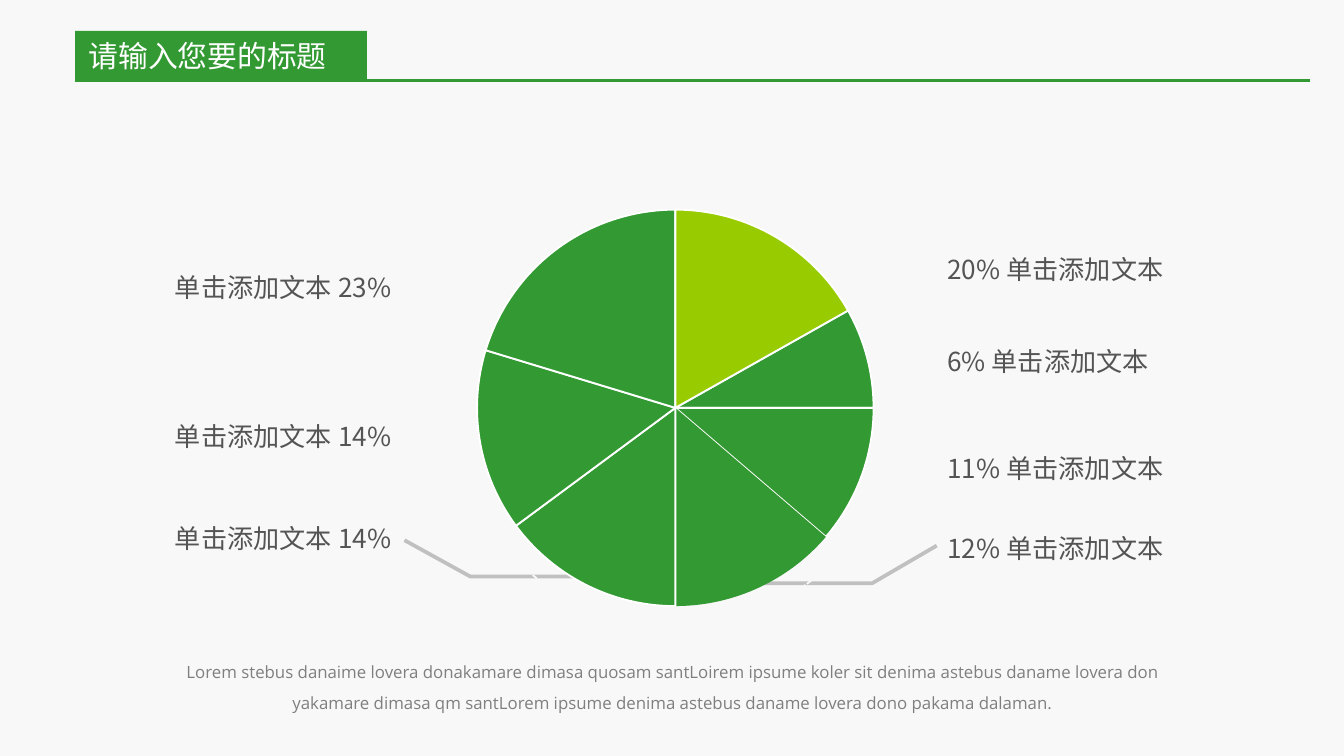
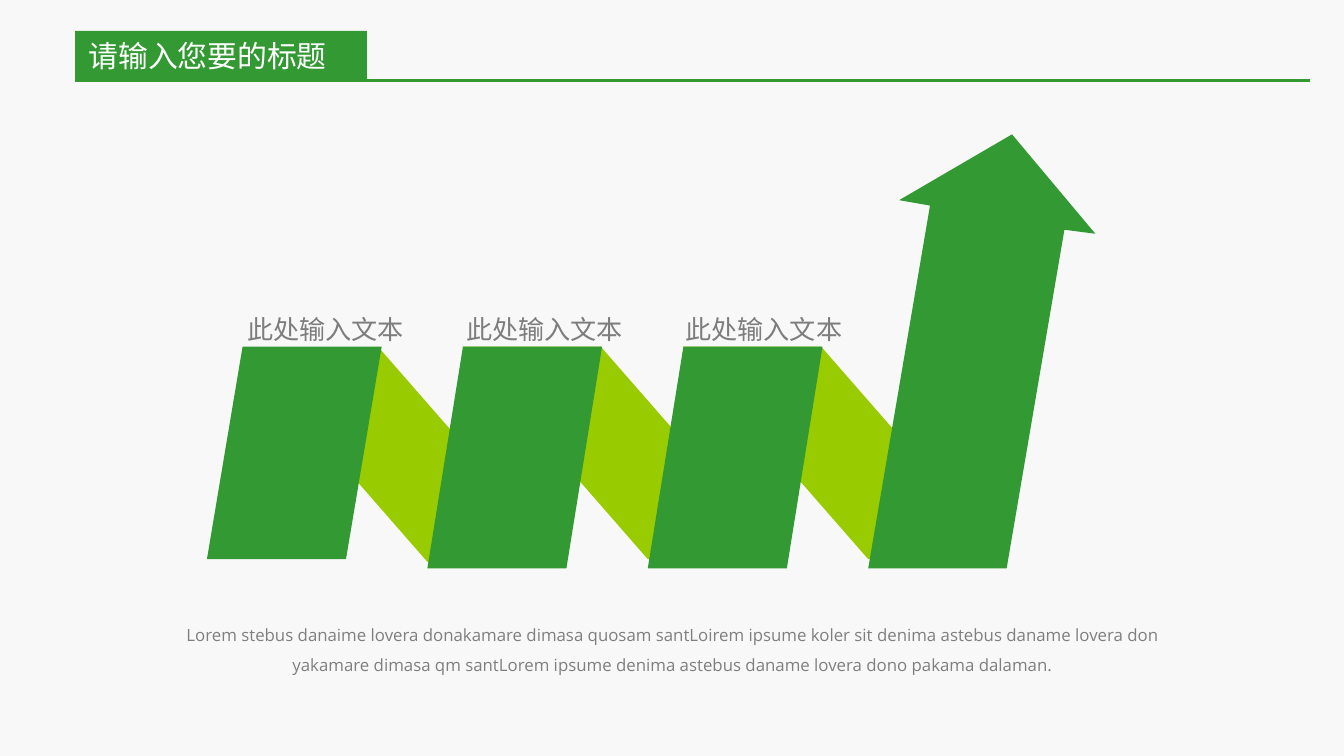
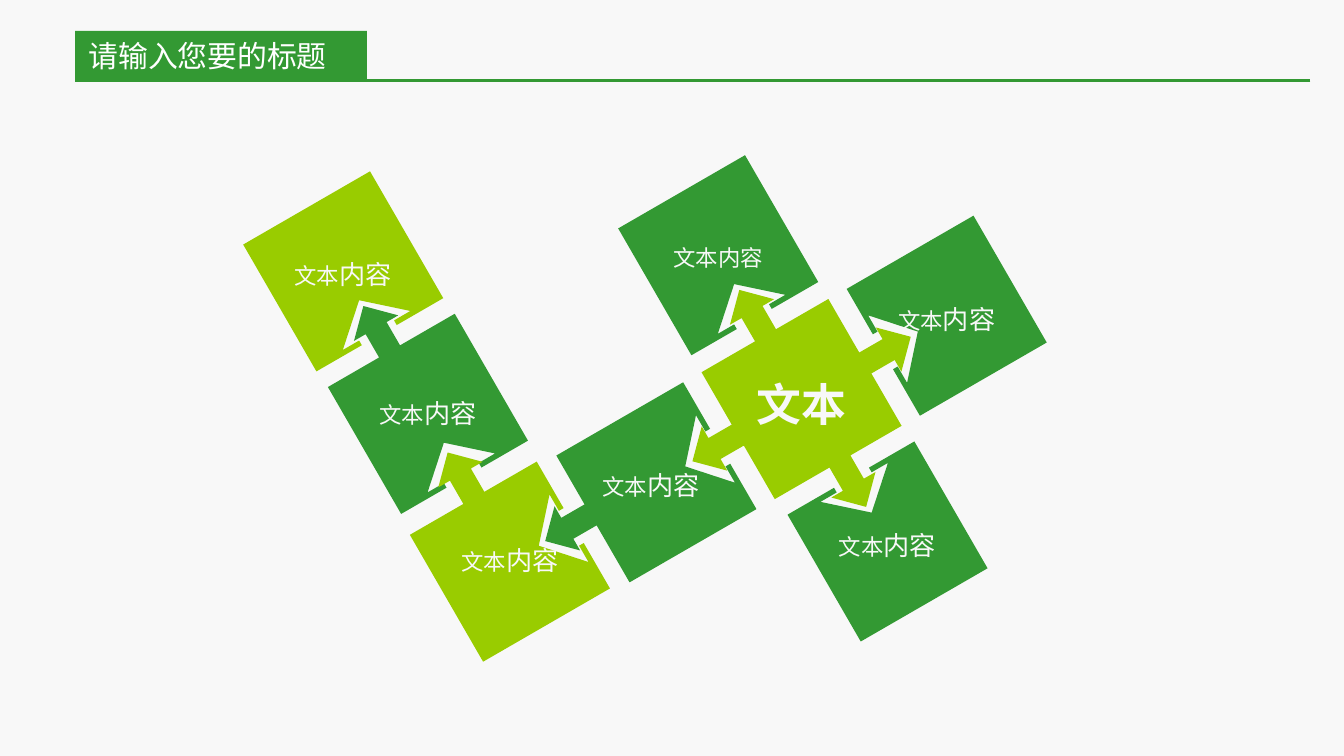
from dataclasses import dataclass, field
from math import cos, radians, sin

from pptx import Presentation
from pptx.dml.color import RGBColor
from pptx.enum.dml import MSO_LINE
from pptx.enum.shapes import MSO_CONNECTOR, MSO_SHAPE
from pptx.enum.text import MSO_ANCHOR, MSO_AUTO_SIZE, PP_ALIGN
from pptx.oxml.ns import qn
from pptx.util import Inches, Pt

STRAIGHT = MSO_CONNECTOR.STRAIGHT
PIE, OVAL, SLANT = MSO_SHAPE.PIE, MSO_SHAPE.OVAL, MSO_SHAPE.PARALLELOGRAM
LEFT, MID, RIGHT = PP_ALIGN.LEFT, PP_ALIGN.CENTER, PP_ALIGN.RIGHT
TOP, CENTRE = MSO_ANCHOR.TOP, MSO_ANCHOR.MIDDLE
FIXED = MSO_AUTO_SIZE.NONE
DASH = MSO_LINE.SQUARE_DOT
TITLE_ONLY = 5
WIDTH = Inches(10)
HEIGHT = WIDTH * 9 // 16

Point = tuple[float, float]


@dataclass(frozen=True)
class Theme:
    page: str = "F8F8F8"
    green: str = "339933"
    lime: str = "99CC00"
    white: str = "FFFFFF"
    grey: str = "C0C0C0"
    label: str = "545454"
    step: str = "7D7D7D"
    note: str = "7F7F7F"
    cjk: str = "Noto Sans CJK SC"
    latin: str = "Open Sans"
    head: float = 16
    text: float = 14
    small: float = 12
    big: float = 24
    fine: float = 9


T = Theme()


@dataclass(frozen=True)
class Run:
    text: str
    size: float
    color: str
    font: str = T.cjk
    bold: bool = False


@dataclass(frozen=True)
class Box:
    x: float
    y: float
    w: float
    h: float

    def emu(self) -> list[int]:
        return [Inches(v) for v in (self.x, self.y, self.w, self.h)]


@dataclass(frozen=True)
class Wedge:
    start: float
    end: float
    fill: str = T.green
    edge: bool = True


@dataclass(frozen=True)
class Tile:
    """Tilted square, placed by its left corner; sides are N, E, S, W."""
    x: float
    y: float
    fill: str
    runs: list[Run]
    notch: str = ""
    tabs: dict[str, float] = field(default_factory=dict)


# Shared drawing helpers

def rgb(code: str) -> RGBColor:
    return RGBColor.from_string(code)


def paint(shape, fill: str | None, line: str | None = None, width: float = 1) -> None:
    if fill:
        shape.fill.solid()
        shape.fill.fore_color.rgb = rgb(fill)
    else:
        shape.fill.background()
    if line:
        shape.line.color.rgb = rgb(line)
        shape.line.width = Pt(width)
    else:
        shape.line.fill.background()
    shape.shadow.inherit = False


def write(shape, runs: list[Run], align=LEFT, anchor=CENTRE, space: float = 1,
          pad: Point = (0.1, 0.05), wrap: bool = True) -> None:
    frame = shape.text_frame
    frame.word_wrap = wrap
    frame.auto_size = FIXED
    frame.vertical_anchor = anchor
    frame.margin_left = frame.margin_right = Inches(pad[0])
    frame.margin_top = frame.margin_bottom = Inches(pad[1])
    para = frame.paragraphs[0]
    para.alignment = align
    para.line_spacing = space
    for item in runs:
        run = para.add_run()
        run.text = item.text
        font = run.font
        font.size, font.bold, font.name = Pt(item.size), item.bold, item.font
        font.color.rgb = rgb(item.color)
        east = run._r.get_or_add_rPr().makeelement(qn("a:ea"), {"typeface": item.font})
        font._element.find(qn("a:latin")).addnext(east)


def add_text(slide, box: Box, runs: list[Run], **style) -> None:
    write(slide.shapes.add_textbox(*box.emu()), runs, **style)


def add_form(slide, points: list[Point], close: bool = True):
    spots = [(Inches(x), Inches(y)) for x, y in points]
    form = slide.shapes.build_freeform(*spots[0], scale=1.0)
    form.add_line_segments(spots[1:], close=close)
    return form.convert_to_shape()


def add_slant(slide, box: Box, adj: float, fill: str, flip: bool = False) -> None:
    shape = slide.shapes.add_shape(SLANT, *box.emu())
    shape.adjustments[0] = adj
    paint(shape, fill)
    if flip:
        shape._element.spPr.find(qn("a:xfrm")).set("flipH", "1")


def add_page(deck):
    """Start a slide with the title band and its rule."""
    slide = deck.slides.add_slide(deck.slide_layouts[TITLE_ONLY])
    title = slide.shapes.title
    title.left, title.top, title.width, title.height = Box(0.56, 0.23, 2.17, 0.37).emu()
    title.fill.solid()
    title.fill.fore_color.rgb = rgb(T.green)
    write(title, [Run("请输入您要的标题", T.head, T.white)])
    rule = slide.shapes.add_connector(
        STRAIGHT, Inches(9.75), Inches(0.6), Inches(0.56), Inches(0.6))
    rule.line.color.rgb = rgb(T.green)
    rule.line.width = Pt(1.5)
    props = rule._element.spPr
    props.append(props.makeelement(qn("a:effectLst"), {}))
    return slide


NOTE = ("Lorem stebus danaime lovera donakamare dimasa quosam santLoirem ipsume koler "
        "sit denima astebus daname lovera don yakamare dimasa qm santLorem ipsume "
        "denima astebus daname lovera dono pakama dalaman.")


def add_note(slide, y: float) -> None:
    add_text(slide, Box(1.25, y, 7.5, 0.53), [Run(NOTE, T.fine, T.note, T.latin)],
             align=MID, anchor=TOP, space=1.5, pad=(0.07, 0.04))


# Slide 1: pie with labels

WEDGES = [
    Wedge(330.6, 0), Wedge(0, 40.6), Wedge(40.6, 90, edge=False), Wedge(90, 143.5),
    Wedge(143.5, 196.9), Wedge(196.9, 270), Wedge(270, 330.6, T.lime),
]
LEADS = [
    [(5.67, 4.34), (6.49, 4.34), (6.97, 4.06)],
    [(4.31, 4.29), (3.5, 4.29), (3.01, 4.02)],
]
RIGHT_TAGS = [(1.84, "20%"), (2.52, "6%"), (3.32, "11%"), (3.91, "12%")]
LEFT_TAGS = [(3.84, "14%"), (3.08, "14%"), (1.97, "23%")]
PROMPT = "单击添加文本"


def draw_pie(deck) -> None:
    slide = add_page(deck)
    for lead in LEADS:
        paint(add_form(slide, lead, close=False), None, T.grey, 2)
    for y, share in RIGHT_TAGS:
        add_text(slide, Box(6.95, y, 2.6, 0.33),
                 [Run(f"{share} {PROMPT}", T.text, T.label)])
    for y, share in LEFT_TAGS:
        add_text(slide, Box(0.42, y, 2.59, 0.33),
                 [Run(f"{PROMPT} {share}", T.text, T.label)], align=RIGHT)
    for wedge in WEDGES:
        shape = slide.shapes.add_shape(PIE, *Box(3.55, 1.56, 2.95, 2.95).emu())
        # One degree is 60000 units, and adjustments count in 100000s
        shape.adjustments[0] = wedge.start * 0.6
        shape.adjustments[1] = wedge.end * 0.6
        paint(shape, wedge.fill, T.white if wedge.edge else None)
    ring = slide.shapes.add_shape(OVAL, *Box(3.39, 1.4, 3.27, 3.27).emu())
    paint(ring, None, T.page)
    ring.line.dash_style = DASH
    add_note(slide, 4.81)


# Slide 2: folded band that ends in an arrow

ARROW = [(7.53, 1), (8.15, 1.74), (7.92, 1.71), (7.49, 4.23),
         (6.46, 4.23), (6.92, 1.53), (6.69, 1.49)]
PITCH = 1.64


def draw_band(deck) -> None:
    slide = add_page(deck)
    for i in range(3):
        y = 2.58 if i else 2.6
        add_slant(slide, Box(1.8 + i * PITCH, y, 2.41, 1.58), 0.873, T.lime, flip=True)
    for i in range(3):
        h = 1.65 if i else 1.58
        add_slant(slide, Box(1.54 + i * PITCH, 2.58, 1.3, h), 0.204, T.green)
        add_text(slide, Box(1.74 + i * 1.63, 2.28, 1.37, 0.33),
                 [Run("此处输入文本", T.text, T.step)], wrap=False)
    paint(add_form(slide, ARROW), T.green)
    add_note(slide, 4.53)


# Slide 3: tilted tiles joined by arrows

SIDE, TILT, HALF = 1.09, -30, 0.55
# Steps along a side from its middle, and outward from it
NOTCH = [(-0.15, 0), (-0.15, -0.04), (-0.29, -0.04), (0, -0.3),
         (0.29, -0.04), (0.15, -0.04), (0.15, 0)]
TAB = [(-0.09, 0), (-0.09, 0.2), (-0.19, 0.2), (0, 0.39),
       (0.19, 0.2), (0.09, 0.2), (0.09, 0)]

BODY = [Run("文本", T.small, T.page), Run("内容", T.text, T.page)]
PLAIN = [Run("文本内容", T.small, T.page)]
CORE = [Run("文本", T.big, T.page, bold=True)]
TILES = [
    Tile(1.81, 1.82, T.lime, BODY, "S"),
    Tile(2.44, 2.88, T.green, BODY, "S", {"N": 0.53}),
    Tile(3.05, 3.98, T.lime, BODY, "E", {"N": HALF}),
    Tile(4.14, 3.39, T.green, BODY, "E", {"W": 0.58}),
    Tile(5.86, 3.83, T.green, BODY, "N"),
    Tile(6.3, 2.15, T.green, BODY, "W"),
    Tile(4.6, 1.7, T.green, PLAIN, "S"),
    Tile(5.22, 2.77, T.lime, CORE,
         tabs={"N": HALF, "E": HALF, "S": 0.53, "W": HALF}),
]


def trace(tile: Tile) -> list[Point]:
    """Walk round the tile clockwise, cutting notches and adding tabs."""
    x, y, points = tile.x, tile.y, []
    for i, side in enumerate("NESW"):
        turn = radians(TILT + 90 * i)
        dx, dy = cos(turn), sin(turn)
        points.append((x, y))
        cuts = NOTCH if side in tile.notch else TAB if side in tile.tabs else []
        mid = tile.tabs.get(side, HALF)
        for along, out in cuts:
            t = mid + along
            points.append((x + t * dx + out * dy, y + t * dy - out * dx))
        x, y = x + SIDE * dx, y + SIDE * dy
    return points


def draw_tiles(deck) -> None:
    slide = add_page(deck)
    for tile in TILES:
        shape = add_form(slide, trace(tile))
        paint(shape, tile.fill)
        write(shape, tile.runs, align=MID, space=1.2)


def main() -> None:
    deck = Presentation()
    deck.slide_width, deck.slide_height = WIDTH, HEIGHT
    back = deck.slide_master.background.fill
    back.solid()
    back.fore_color.rgb = rgb(T.page)
    for draw in (draw_pie, draw_band, draw_tiles):
        draw(deck)
    deck.save("out.pptx")


if __name__ == "__main__":
    main()
